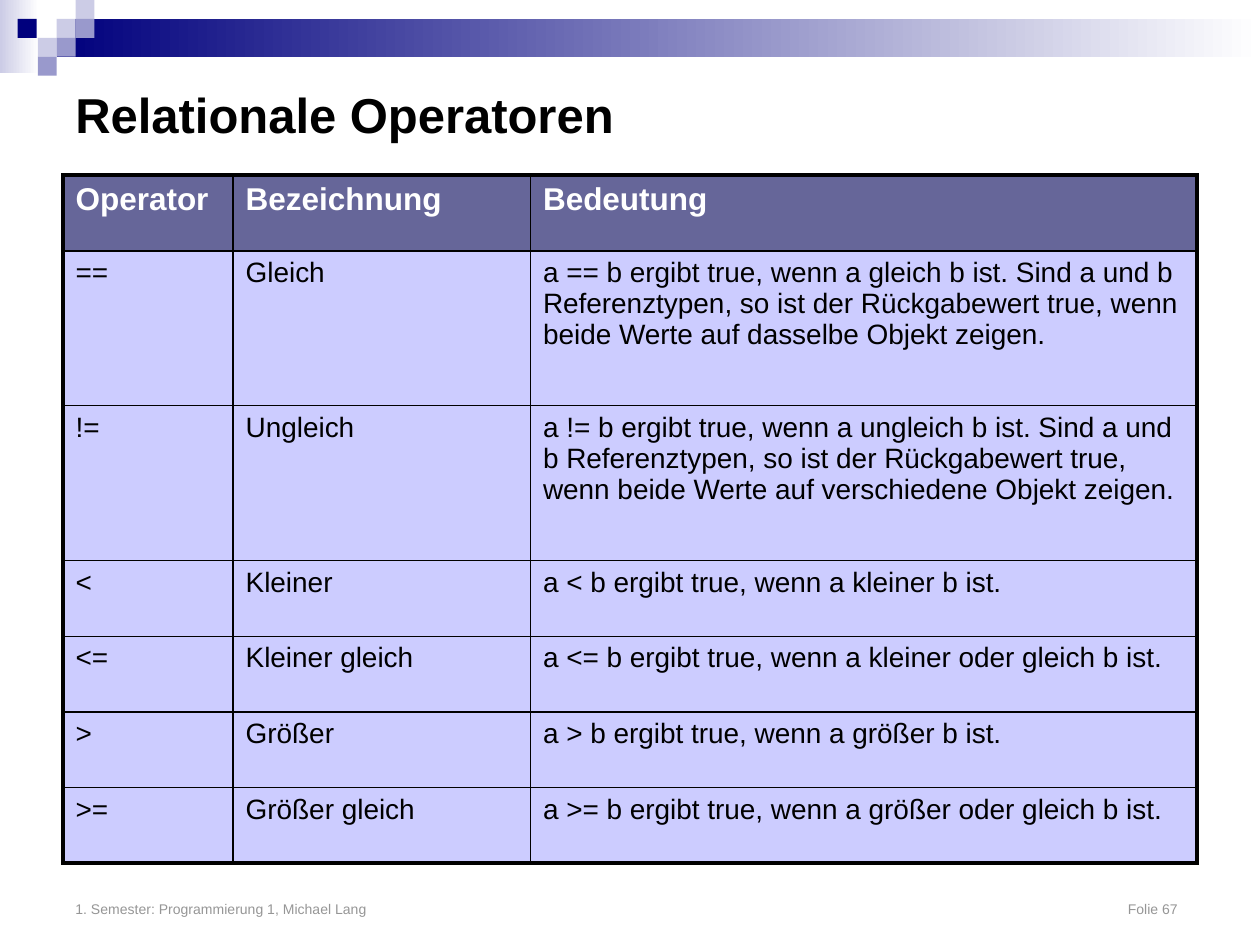
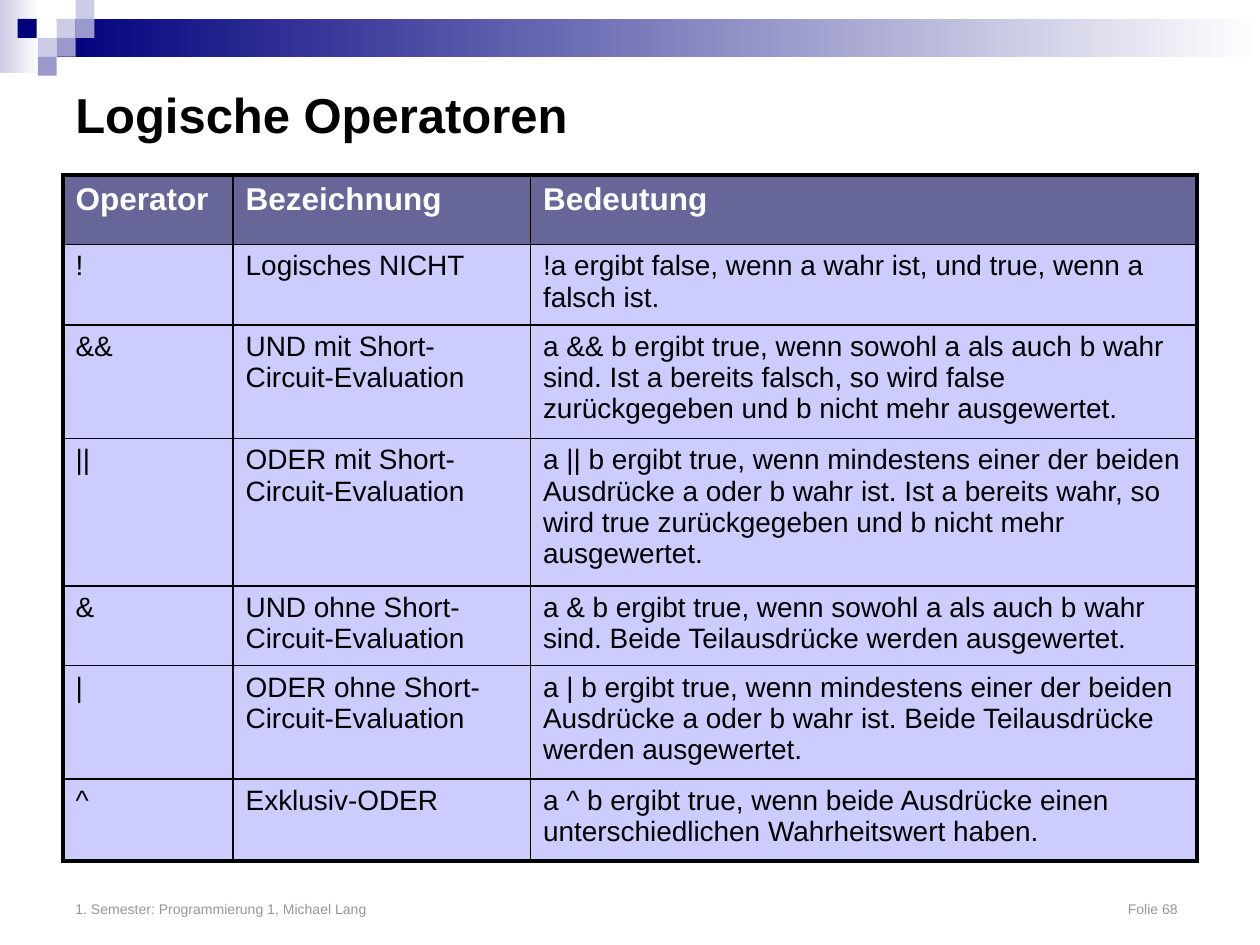
"""Build two slides with tables of relational and logical operators."""
import dataclasses
import typing

import lxml.etree
import pptx
import pptx.dml.color
import pptx.enum.shapes
import pptx.enum.text
import pptx.oxml.ns
import pptx.slide
import pptx.text.text
import pptx.util

Inches = pptx.util.Inches
Pt = pptx.util.Pt
qn = pptx.oxml.ns.qn
ANCHOR = pptx.enum.text.MSO_ANCHOR

FONT = "Arial"
COLORS = {
    "navy": "00007D",
    "mid": "9999CC",
    "pale": "CCCCE6",
    "white": "FFFFFF",
    "black": "000000",
    "gray": "969696",
    "head": "666699",
    "body": "CCCCFF",
}
MARGIN, WIDTH = 0.5, 9
UNIT = 0.15
TABLE_TOP = 1.39
COLUMNS = (1.35, 2.36, 5.29)
HEADER = ("Operator", "Bezeichnung", "Bedeutung")
FOOTER = "1. Semester: Programmierung 1, Michael Lang\tFolie {}"
FOOTER_TAB = 8.75
OUTER, INNER = 2.25, 1


@dataclasses.dataclass(frozen=True)
class Block:
    """A rectangle of the top band, fading to white when asked."""
    left: float
    top: float
    color: str
    width: float = UNIT
    height: float = UNIT
    fade: bool = False


@dataclasses.dataclass(frozen=True)
class OperatorSlide:
    """The title, number and table contents of one slide."""
    title: str
    number: int
    heights: tuple[float, ...]
    rows: tuple[tuple[str, str, str], ...]


BAND = (
    Block(0, 0, "pale", 0.31, 0.58, fade=True),
    Block(3 * UNIT, UNIT, "navy", 9.55, 2 * UNIT, fade=True),
    Block(3 * UNIT, UNIT, "pale"),
    Block(4 * UNIT, 0, "pale"),
    Block(4 * UNIT, UNIT, "mid"),
    Block(2 * UNIT, 2 * UNIT, "pale"),
    Block(0.14, UNIT, "navy"),
    Block(3 * UNIT, 2 * UNIT, "mid"),
    Block(2 * UNIT, 3 * UNIT, "mid"),
)

SLIDES = (
    OperatorSlide(
        "Relationale Operatoren", 67, (0.6, 1.23, 1.23, 0.6, 0.6, 0.6, 0.6),
        (
            ("==", "Gleich",
             "a == b ergibt true, wenn a gleich b ist. Sind a und b Referenztypen, "
             "so ist der Rückgabewert true, wenn beide Werte auf dasselbe Objekt zeigen."),
            ("!=", "Ungleich",
             "a != b ergibt true, wenn a ungleich b ist. Sind a und b Referenztypen, "
             "so ist der Rückgabewert true, wenn beide Werte auf verschiedene Objekt zeigen."),
            ("<", "Kleiner", "a < b ergibt true, wenn a kleiner b ist."),
            ("<=", "Kleiner gleich", "a <= b ergibt true, wenn a kleiner oder gleich b ist."),
            (">", "Größer", "a > b ergibt true, wenn a größer b ist."),
            (">=", "Größer gleich", "a >= b ergibt true, wenn a größer oder gleich b ist."),
        ),
    ),
    OperatorSlide(
        "Logische Operatoren", 68, (0.55, 0.64, 0.9, 1.17, 0.63, 0.9, 0.65),
        (
            ("!", "Logisches NICHT",
             "!a ergibt false, wenn a wahr ist, und true, wenn a falsch ist."),
            ("&&", "UND mit Short-Circuit-Evaluation",
             "a && b ergibt true, wenn sowohl a als auch b wahr sind. Ist a bereits falsch, "
             "so wird false zurückgegeben und b nicht mehr ausgewertet."),
            ("||", "ODER mit Short-Circuit-Evaluation",
             "a || b ergibt true, wenn mindestens einer der beiden Ausdrücke a oder b wahr ist. "
             "Ist a bereits wahr, so wird true zurückgegeben und b nicht mehr ausgewertet."),
            ("&", "UND ohne Short-Circuit-Evaluation",
             "a & b ergibt true, wenn sowohl a als auch b wahr sind. "
             "Beide Teilausdrücke werden ausgewertet."),
            ("|", "ODER ohne Short-Circuit-Evaluation",
             "a | b ergibt true, wenn mindestens einer der beiden Ausdrücke a oder b wahr ist. "
             "Beide Teilausdrücke werden ausgewertet."),
            ("^", "Exklusiv-ODER",
             "a ^ b ergibt true, wenn beide Ausdrücke einen unterschiedlichen "
             "Wahrheitswert haben."),
        ),
    ),
)


def rgb(name: str) -> pptx.dml.color.RGBColor:
    """Look up a colour by name."""
    return pptx.dml.color.RGBColor.from_string(COLORS[name])


def write(tf: pptx.text.text.TextFrame, text: str, *, size: float, color: str = "black",
          bold: bool = False, anchor: typing.Any = ANCHOR.TOP,
          tab: typing.Optional[float] = None) -> None:
    """Put one formatted paragraph into a text frame."""
    tf.word_wrap = True
    tf.vertical_anchor = anchor
    p = tf.paragraphs[0]
    if tab is not None:
        tabs = lxml.etree.SubElement(p._p.get_or_add_pPr(), qn("a:tabLst"))
        lxml.etree.SubElement(tabs, qn("a:tab"), pos=str(Inches(tab)), algn="r")
    r = p.add_run()
    r.text = text
    r.font.name = FONT
    r.font.size = Pt(size)
    r.font.bold = bold
    r.font.color.rgb = rgb(color)


def add_text(s: pptx.slide.Slide, top: float, height: float, text: str,
             **style: typing.Any) -> None:
    """Add a text box across the content width."""
    sp = s.shapes.add_textbox(Inches(MARGIN), Inches(top), Inches(WIDTH), Inches(height))
    write(sp.text_frame, text, **style)


def add_block(s: pptx.slide.Slide, block: Block) -> None:
    """Draw one rectangle of the top band."""
    sp = s.shapes.add_shape(pptx.enum.shapes.MSO_SHAPE.RECTANGLE, Inches(block.left),
                            Inches(block.top), Inches(block.width), Inches(block.height))
    sp.shadow.inherit = False
    sp.line.fill.background()
    if block.fade:
        sp.fill.gradient()
        sp.fill.gradient_angle = 0
        for stop, color in zip(sp.fill.gradient_stops, (block.color, "white")):
            stop.color.rgb = rgb(color)
    else:
        sp.fill.solid()
        sp.fill.fore_color.rgb = rgb(block.color)


def add_border(cell: typing.Any, side: str, width: float) -> None:
    """Draw one edge of a table cell, before its fill is set."""
    ln = lxml.etree.SubElement(cell._tc.get_or_add_tcPr(), qn(f"a:ln{side}"), w=str(Pt(width)))
    fill = lxml.etree.SubElement(ln, qn("a:solidFill"))
    lxml.etree.SubElement(fill, qn("a:srgbClr"), val=COLORS["black"])


def add_operator_table(s: pptx.slide.Slide, data: OperatorSlide) -> None:
    """Add the operator table with a thick frame and thin inner lines."""
    rows = (HEADER, *data.rows)
    last_row, last_col = len(rows) - 1, len(COLUMNS) - 1
    table = s.shapes.add_table(len(rows), len(COLUMNS), Inches(MARGIN), Inches(TABLE_TOP),
                               Inches(WIDTH), Inches(sum(data.heights))).table
    table.horz_banding = False
    for column, width in zip(table.columns, COLUMNS):
        column.width = Inches(width)
    for i, (row, height) in enumerate(zip(rows, data.heights)):
        table.rows[i].height = Inches(height)
        head = i == 0
        for j, text in enumerate(row):
            cell = table.cell(i, j)
            edges = {"L": j == 0, "R": j == last_col, "T": head, "B": i == last_row}
            for side, outer in edges.items():
                add_border(cell, side, OUTER if outer else INNER)
            cell.fill.solid()
            cell.fill.fore_color.rgb = rgb("head" if head else "body")
            write(cell.text_frame, text, size=18 if head else 16,
                  color="white" if head else "black", bold=head)


def add_operator_slide(prs: typing.Any, data: OperatorSlide) -> None:
    """Add one complete slide."""
    s = prs.slides.add_slide(prs.slide_layouts[6])
    for block in BAND:
        add_block(s, block)
    add_text(s, 6.83, 0.5, FOOTER.format(data.number), size=8, color="gray",
             anchor=ANCHOR.BOTTOM, tab=FOOTER_TAB)
    add_text(s, 0.5, 0.81, data.title, size=28, bold=True, anchor=ANCHOR.MIDDLE)
    add_operator_table(s, data)


def main() -> None:
    """Build and save the presentation."""
    prs = pptx.Presentation()
    prs.slide_width, prs.slide_height = Inches(10), Inches(7.5)
    for data in SLIDES:
        add_operator_slide(prs, data)
    prs.save("out.pptx")


if __name__ == "__main__":
    main()
